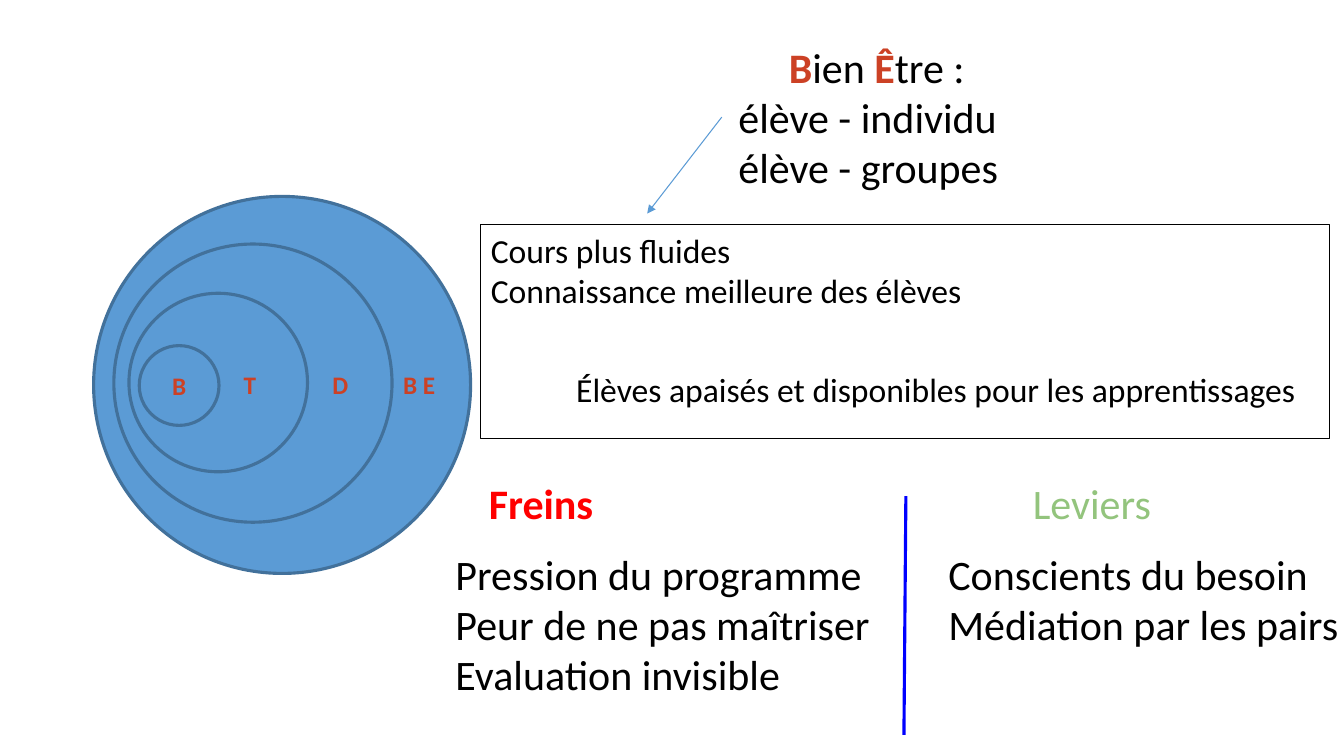
"""Builds the slide on well-being, with its obstacles and levers."""
from lxml import etree
from pptx import Presentation
from pptx import util as u
from pptx.dml.color import RGBColor
from pptx.enum import shapes, text
from pptx.oxml.ns import qn

BLACK, ACCENT = "000000", "CC4125"
BLUE, DARK_BLUE = "5B9BD5", "42719B"


def paint(fill, color):
    """Make a fill one solid colour."""
    fill.solid()
    fill.fore_color.rgb = RGBColor.from_string(color)


def add_run(p, words, size, color=BLACK, bold=False):
    """Append one formatted run to a paragraph."""
    r = p.add_run()
    r.text = words
    r.font.name = "Calibri"
    r.font.size = u.Pt(size)
    r.font.bold = bold
    paint(r.font.fill, color)


def write(tf, lines, size):
    """Write one paragraph per line, each a list of run arguments."""
    for i, runs in enumerate(lines):
        p = tf.add_paragraph() if i else tf.paragraphs[0]
        p.alignment = text.PP_ALIGN.LEFT
        for words, *style in runs:
            add_run(p, words, size, *style)


def add_text(s, box, lines, size=30, wrap=True):
    """Add a text box and return its text frame."""
    tf = s.shapes.add_textbox(*map(u.Cm, box)).text_frame
    tf.word_wrap = wrap
    write(tf, lines, size)
    return tf


def add_shape(s, kind, box, line, width, fill=None):
    """Add an outlined preset shape without a shadow."""
    sp = s.shapes.add_shape(kind, *map(u.Cm, box))
    sp.shadow.inherit = False
    if fill:
        paint(sp.fill, fill)
    else:
        sp.fill.background()
    paint(sp.line.fill, line)
    sp.line.width = u.Pt(width)
    return sp


def add_line(s, ends, color, width, arrow=False):
    """Add a straight line, with an arrowhead at its end if asked."""
    connector = s.shapes.add_connector(shapes.MSO_CONNECTOR.STRAIGHT, *map(u.Cm, ends))
    paint(connector.line.fill, color)
    connector.line.width = u.Pt(width)
    sp_pr = connector._element.spPr
    if arrow:
        etree.SubElement(sp_pr.find(qn("a:ln")), qn("a:tailEnd"), type="triangle")
    etree.SubElement(sp_pr, qn("a:effectLst"))


def add_circles(s):
    """Draw the nested circles and their letters."""
    rings = [(2.36, 4.95, 9.5), (2.87, 6.15, 7.01), (3.25, 7.39, 4.5), (3.51, 8.71, 2.01)]
    for x, y, size in rings:
        sp = add_shape(s, shapes.MSO_SHAPE.OVAL, (x, y, size, size), DARK_BLUE, 2.25, BLUE)
    tf = sp.text_frame
    tf.vertical_anchor = text.MSO_ANCHOR.MIDDLE
    write(tf, [[("B", ACCENT, True)]], 18)
    tf.paragraphs[0].alignment = text.PP_ALIGN.CENTER
    for letters, x, w in [("T", 5.89, 0.81), ("D", 8.13, 0.91), ("B E", 9.91, 1.32)]:
        add_text(s, (x, 9.19, w, 1.02), [[(letters, ACCENT, True)]], 18, False)


def add_benefits(s):
    """Draw the framed box of benefits."""
    sp = add_shape(s, shapes.MSO_SHAPE.RECTANGLE, (12.12, 5.66, 21.39, 5.38), BLACK, 0.75)
    tf = sp.text_frame
    tf.word_wrap = True
    tf.vertical_anchor = text.MSO_ANCHOR.TOP
    write(tf, [[("Cours plus fluides",)], [("Connaissance meilleure des élèves",)],
               [("Élèves apaisés et disponibles pour les apprentissages",)]], 24)
    p = tf.paragraphs[2]
    p.space_before = u.Pt(42)
    p._p.get_or_add_pPr().set("marL", str(u.Cm(2.15)))


def add_column(s, title, title_x, style, x, w, items):
    """Add a heading with its list below."""
    add_text(s, (title_x, 11.91, 3.51, 1.55), [[(title, *style)]])
    add_text(s, (x, 13.69, w, 1.27 * len(items) + 0.3), [[(item,)] for item in items])


def main():
    """Build and save the slide."""
    prs = Presentation()
    prs.slide_width, prs.slide_height = u.Cm(33.87), u.Cm(19.05)
    s = prs.slides.add_slide(prs.slide_layouts[6])
    add_circles(s)
    tf = add_text(s, (18.36, 0.91, 7.39, 4.11), [
        [("B", ACCENT, True), ("ien ",), ("Ê", ACCENT, True), ("tre :",)],
        [("élève - individu",)], [("élève - groupes",)]])
    tf.paragraphs[0]._p.get_or_add_pPr().set("indent", str(u.Cm(1.27)))
    add_line(s, (18.19, 2.95, 16.31, 5.38), BLUE, 0.75, True)
    add_benefits(s)
    add_column(s, "Freins", 12.07, ("FF0000", True), 11.23, 11.05,
               ["Pression du programme", "Peur de ne pas maîtriser", "Evaluation invisible"])
    add_column(s, "Leviers", 25.78, ("93C47D",), 23.65, 10.82,
               ["Conscients du besoin", "Médiation par les pairs"])
    add_line(s, (22.83, 12.5, 22.78, 18.52), "0000FF", 2.25)
    prs.save("out.pptx")


if __name__ == "__main__":
    main()
